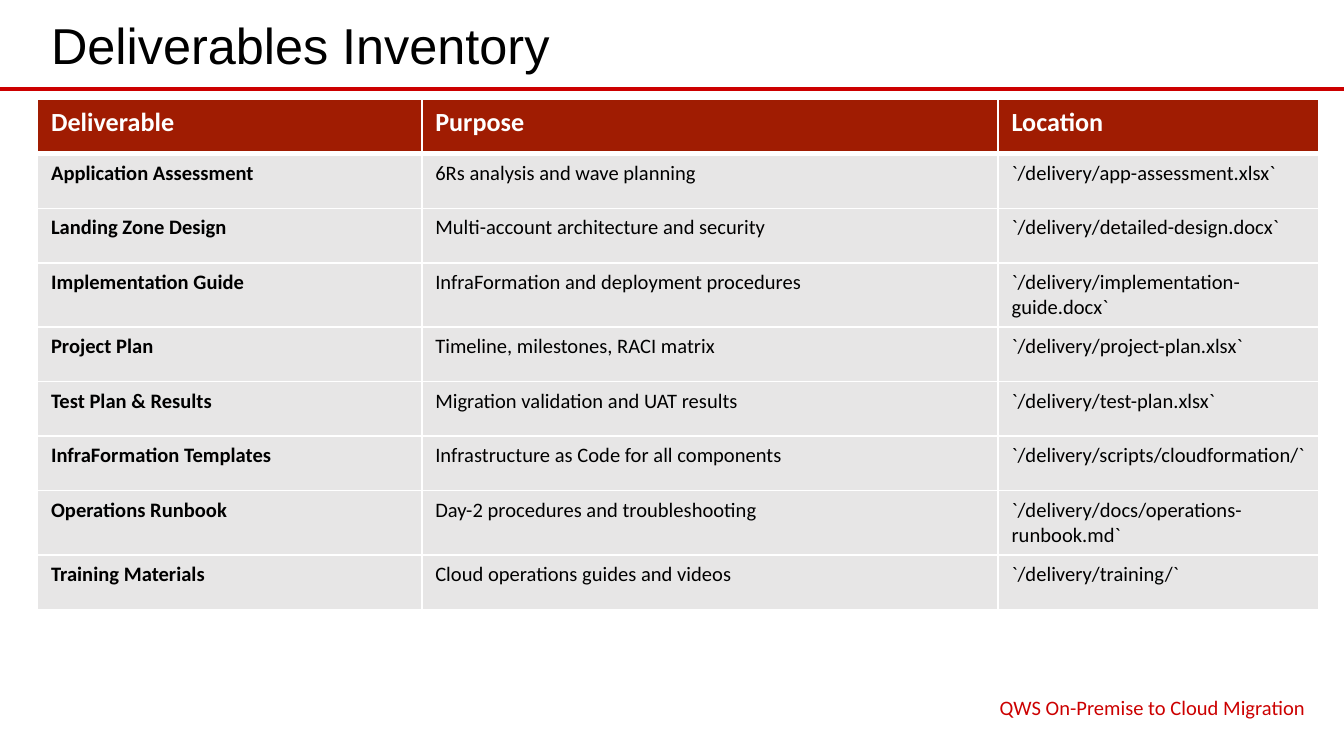
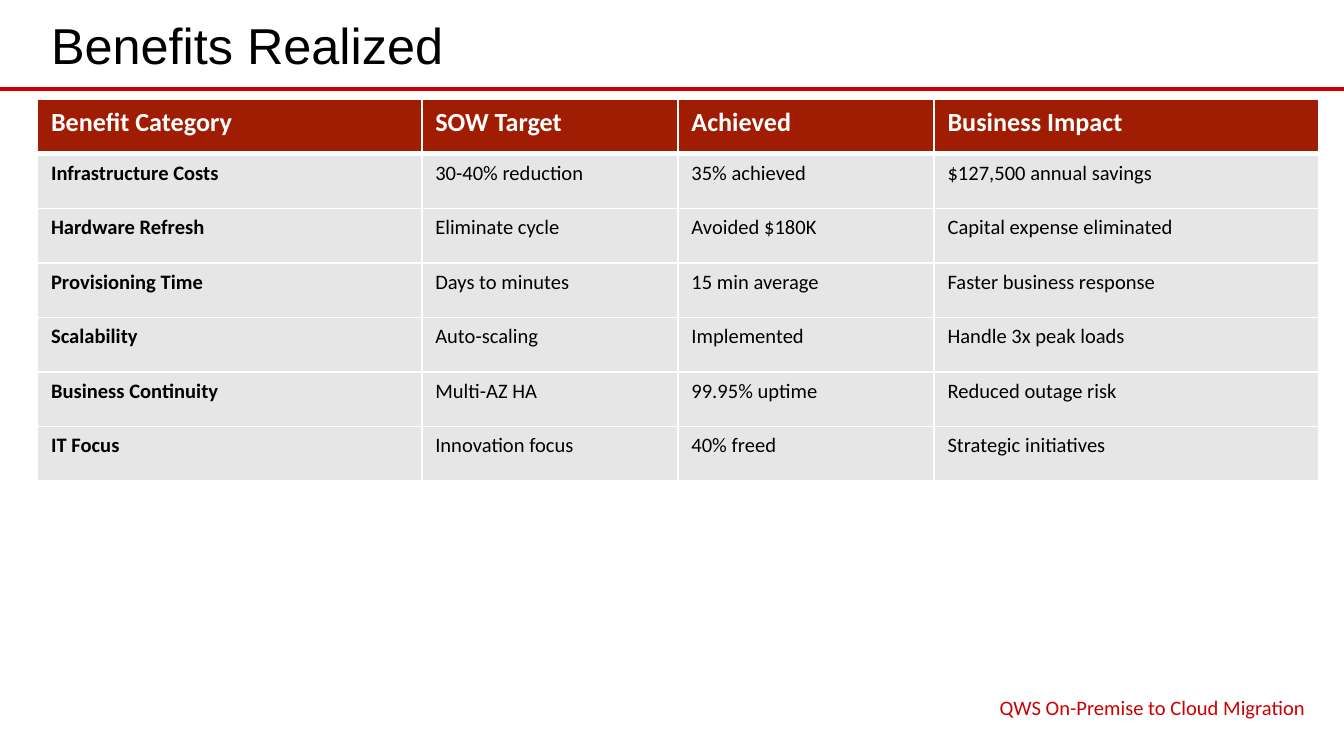
from lxml import etree
from pptx import Presentation
from pptx import util as u
from pptx.dml.color import RGBColor
from pptx.enum import shapes, text
from pptx.oxml import ns

RED = RGBColor(0xCC, 0x00, 0x00)
BRICK = RGBColor(0xA0, 0x1C, 0x02)
GREY = RGBColor(0xE7, 0xE6, 0xE6)
BLACK = RGBColor(0x00, 0x00, 0x00)
WHITE = RGBColor(0xFF, 0xFF, 0xFF)

LEFT, WIDTH = u.Inches(0.28), u.Inches(9.53)
ROW = u.Pt(29.2)
FOOTER = "QWS On-Premise to Cloud Migration"

# title, column shares of the table width, rows with the header first
SLIDES = [
    ("Deliverables Inventory", (0.3, 0.45, 0.25), [
        ("Deliverable", "Purpose", "Location"),
        ("Application Assessment", "6Rs analysis and wave planning",
         "`/delivery/app-assessment.xlsx`"),
        ("Landing Zone Design", "Multi-account architecture and security",
         "`/delivery/detailed-design.docx`"),
        ("Implementation Guide", "InfraFormation and deployment procedures",
         "`/delivery/implementation-guide.docx`"),
        ("Project Plan", "Timeline, milestones, RACI matrix",
         "`/delivery/project-plan.xlsx`"),
        ("Test Plan & Results", "Migration validation and UAT results",
         "`/delivery/test-plan.xlsx`"),
        ("InfraFormation Templates", "Infrastructure as Code for all components",
         "`/delivery/scripts/cloudformation/`"),
        ("Operations Runbook", "Day-2 procedures and troubleshooting",
         "`/delivery/docs/operations-runbook.md`"),
        ("Training Materials", "Cloud operations guides and videos",
         "`/delivery/training/`"),
    ]),
    ("Benefits Realized", (0.3, 0.2, 0.2, 0.3), [
        ("Benefit Category", "SOW Target", "Achieved", "Business Impact"),
        ("Infrastructure Costs", "30-40% reduction", "35% achieved",
         "$127,500 annual savings"),
        ("Hardware Refresh", "Eliminate cycle", "Avoided $180K",
         "Capital expense eliminated"),
        ("Provisioning Time", "Days to minutes", "15 min average",
         "Faster business response"),
        ("Scalability", "Auto-scaling", "Implemented", "Handle 3x peak loads"),
        ("Business Continuity", "Multi-AZ HA", "99.95% uptime",
         "Reduced outage risk"),
        ("IT Focus", "Innovation focus", "40% freed", "Strategic initiatives"),
    ]),
]


def write(frame, words, size=11, color=BLACK, font="Calibri", bold=False,
          align=text.PP_ALIGN.LEFT):
    frame.word_wrap = True
    para = frame.paragraphs[0]
    para.alignment = align
    run = para.add_run()
    run.text = words
    run.font.name, run.font.size = font, u.Pt(size)
    run.font.bold, run.font.color.rgb = bold, color


def edge(cell, top, bottom):
    """Give the cell white borders; top and bottom are widths in points."""
    props = cell._tc.get_or_add_tcPr()
    for side, width in (("L", 1), ("R", 1), ("T", top), ("B", bottom)):
        line = etree.SubElement(props, ns.qn(f"a:ln{side}"), w=str(u.Pt(width)))
        fill = etree.SubElement(line, ns.qn("a:solidFill"))
        etree.SubElement(fill, ns.qn("a:srgbClr"), val=str(WHITE))


prs = Presentation()
prs.slide_width, prs.slide_height = u.Inches(10), u.Inches(5.625)

for name, shares, rows in SLIDES:
    slide = prs.slides.add_slide(prs.slide_layouts[5])

    rule = slide.shapes.add_connector(
        shapes.MSO_CONNECTOR.STRAIGHT,
        0, u.Inches(0.66), prs.slide_width, u.Inches(0.66))
    rule.line.color.rgb, rule.line.width = RED, u.Pt(2.25)
    etree.SubElement(rule._element.spPr, ns.qn("a:effectLst"))

    title = slide.shapes.title
    title.left, title.top = LEFT, u.Inches(0.04)
    title.width, title.height = WIDTH, u.Inches(0.58)
    title.text_frame.auto_size = text.MSO_AUTO_SIZE.NONE
    title.text_frame.vertical_anchor = text.MSO_ANCHOR.MIDDLE
    write(title.text_frame, name, size=27, font="Arial")

    table = slide.shapes.add_table(
        len(rows), len(shares), LEFT, u.Inches(0.74), WIDTH, ROW * len(rows)).table
    table.horz_banding = False
    for col, share in zip(table.columns, shares):
        col.width = int(WIDTH * share)
    for r, row in enumerate(rows):
        head = r == 0
        for c, words in enumerate(row):
            cell = table.cell(r, c)
            edge(cell, top=3 if r == 1 else 1, bottom=3 if head else 1)
            cell.fill.solid()
            cell.fill.fore_color.rgb = BRICK if head else GREY
            write(cell.text_frame, words, size=14 if head else 11,
                  color=WHITE if head else BLACK, bold=head or c == 0)

    foot = slide.shapes.add_textbox(
        u.Inches(6.29), u.Inches(5.12), u.Inches(3.52), u.Inches(0.26))
    write(foot.text_frame, FOOTER, color=RED, align=text.PP_ALIGN.RIGHT)

prs.save("out.pptx")
